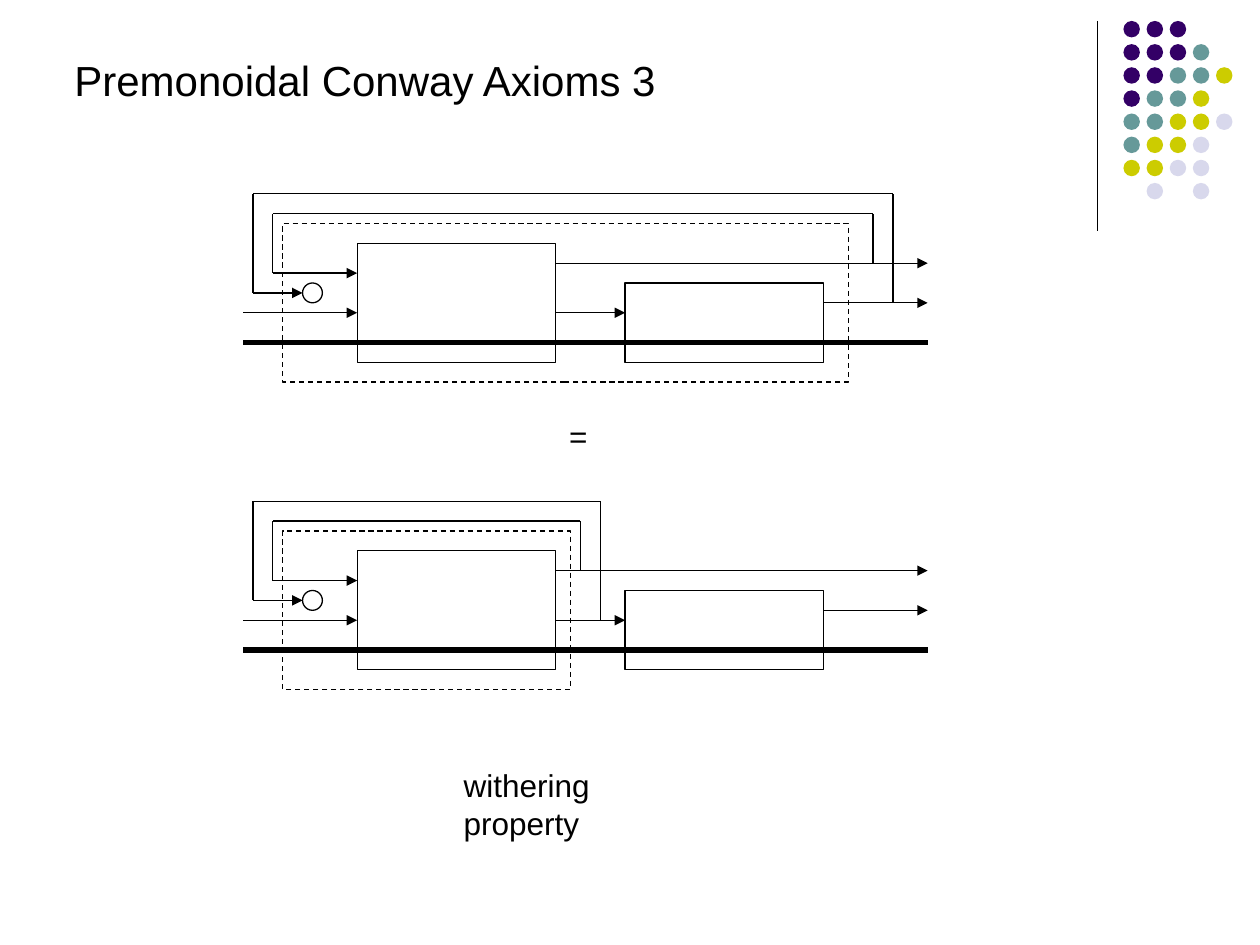
from pptx import Presentation
from pptx.dml.color import RGBColor
from pptx.enum.dml import MSO_LINE
from pptx.enum.shapes import MSO_CONNECTOR, MSO_SHAPE
from pptx.enum.text import MSO_ANCHOR, PP_ALIGN
from pptx.oxml.ns import qn
from pptx.util import Pt
from lxml.etree import SubElement

THEME = {
    "font": "Arial", "ink": "000000", "title": 24, "body": 18,
    "thin": 0.75, "thick": 3,
    "dots": {"P": "330066", "T": "669999", "Y": "CCCC00", "L": "D8D8EC"},
}

TITLE = ("Premonoidal Conway Axioms 3", "title", (35.3, 27.4, 347.8, 36))
LABELS = [
    ("=", "body", (318.2, 234.7, 24.5, 28.8)),
    ("withering property", "body", (257.8, 434.2, 157, 28.8)),
]
DOTS = ["PPP", "PPPT", "PPTTY", "PTTY", "TTYYL", "TYYL", "YYLL", " L L"]

UNIT, LEFT = 11.34, 138.9
BOXES = [(5.75, 2.5, 10, 6), (19.25, 4.5, 10, 4)]
WIRES = [
    [(15.75, 6), (19.25, 6)],
    [(0, 6), (5.75, 6)],
    [(15.75, 3.5), (31.75, 3.5), (34.5, 3.5)],
    [(29.25, 5.5), (32.75, 5.5), (34.5, 5.5)],
]
PANELS = [
    {"top": 110.7, "frame": 28.5, "inner": 31.75, "outer": (32.75, 5.5)},
    {"top": 286.4, "frame": 14.5, "inner": 17, "outer": (18, 6)},
]


def color(name):
    return RGBColor.from_string(name)


def style(line, width=THEME["thin"], **extra):
    line.color.rgb = color(THEME["ink"])
    for key, value in {"width": Pt(width), **extra}.items():
        setattr(line, key, value)


def shape(kind, box, fill=None, **extra):
    item = slide.shapes.add_shape(kind, *map(Pt, box))
    item.shadow.inherit = False
    if fill:
        item.fill.solid()
        item.fill.fore_color.rgb = color(fill)
        item.line.fill.background()
    else:
        item.fill.background()
        style(item.line, **extra)


def line(start, end, arrow=False, width=THEME["thin"]):
    item = slide.shapes.add_connector(
        MSO_CONNECTOR.STRAIGHT, *map(Pt, (*start, *end)))
    style(item.line, width)
    props = item._element.spPr
    if arrow:
        SubElement(props.find(qn("a:ln")), qn("a:tailEnd"), type="triangle")
    SubElement(props, qn("a:effectLst"))


def write(item, text, size, box):
    for key, value in zip(("left", "top", "width", "height"), box):
        setattr(item, key, Pt(value))
    frame = item.text_frame
    frame.text = text
    look = {"word_wrap": False, "vertical_anchor": MSO_ANCHOR.TOP,
            "margin_left": Pt(7.2), "margin_right": Pt(7.2),
            "margin_top": Pt(3.6), "margin_bottom": Pt(3.6)}
    for key, value in look.items():
        setattr(frame, key, value)
    para = frame.paragraphs[0]
    para.alignment = PP_ALIGN.LEFT
    para.line_spacing = 1.0
    para.space_before = Pt(0)
    font = para.runs[0].font
    for key, value in {"name": THEME["font"], "size": Pt(THEME[size])}.items():
        setattr(font, key, value)
    font.color.rgb = color(THEME["ink"])


def panel(top, frame, inner, outer):
    def spot(x, y):
        return LEFT + x * UNIT, top + y * UNIT

    def area(x, y, wide, high):
        return (*spot(x, y), wide * UNIT, high * UNIT)

    shape(MSO_SHAPE.RECTANGLE, area(2, 1.5, frame, 8),
          dash_style=MSO_LINE.DASH)
    for box in BOXES:
        shape(MSO_SHAPE.RECTANGLE, area(*box))
    shape(MSO_SHAPE.FLOWCHART_CONNECTOR, area(3, 4.5, 1, 1))
    line(spot(0, 7.5), spot(34.5, 7.5), width=THEME["thick"])
    loops = [
        [(inner, 3.5), (inner, 1), (1.5, 1), (1.5, 4), (5.75, 4)],
        [outer, (outer[0], 0), (0.5, 0), (0.5, 5), (3, 5)],
    ]
    for wire in WIRES + loops:
        for start, end in zip(wire, wire[1:]):
            line(spot(*start), spot(*end), arrow=end == wire[-1])


deck = Presentation()
deck.slide_width, deck.slide_height = Pt(720), Pt(540)
slide = deck.slides.add_slide(deck.slide_layouts[5])

line((627, 12), (627, 132))
for row, codes in enumerate(DOTS):
    for col, code in enumerate(codes):
        if code in THEME["dots"]:
            shape(MSO_SHAPE.OVAL,
                  (642 + col * 13.22, 12 + row * 13.22, 9.4, 9.4),
                  THEME["dots"][code])

for part in PANELS:
    panel(**part)

write(slide.shapes.title, *TITLE)
for text, size, box in LABELS:
    write(slide.shapes.add_textbox(0, 0, 0, 0), text, size, box)

deck.save("out.pptx")
